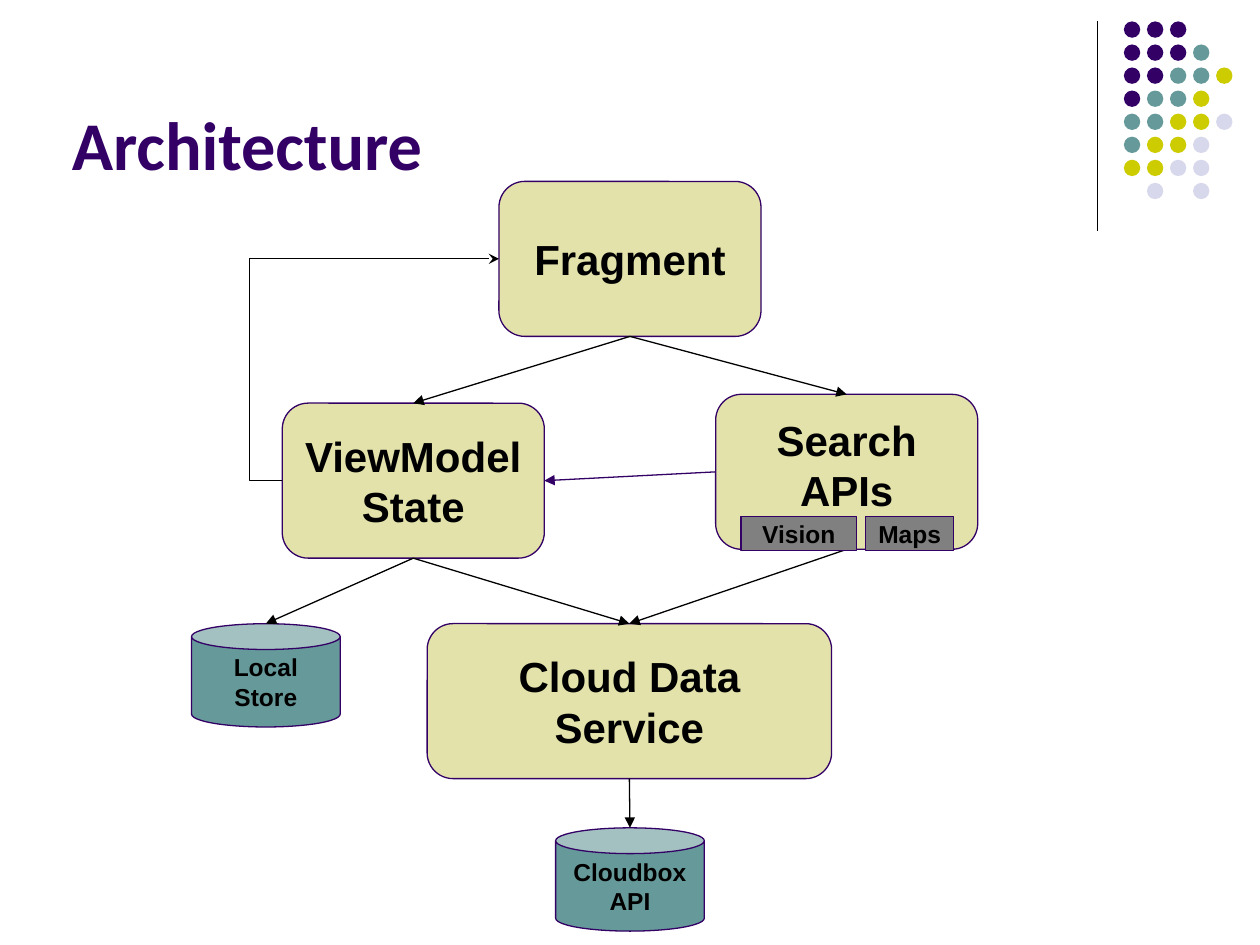
from lxml import etree
from pptx import Presentation
from pptx.dml.color import RGBColor
from pptx.enum import shapes, text
from pptx.oxml import ns
from pptx.util import Inches, Pt

PURPLE = RGBColor(0x33, 0x00, 0x66)
TEAL = RGBColor(0x66, 0x99, 0x99)
OLIVE = RGBColor(0xCC, 0xCC, 0x00)
LAVENDER = RGBColor(0xD8, 0xD8, 0xEC)
SAND = RGBColor(0xE2, 0xE2, 0xAA)
GRAY = RGBColor(0x80, 0x80, 0x80)
BLACK = RGBColor(0x00, 0x00, 0x00)

SHAPE = shapes.MSO_SHAPE
STRAIGHT = shapes.MSO_CONNECTOR.STRAIGHT
ELBOW = shapes.MSO_CONNECTOR.ELBOW
TOP, LEFT, BOTTOM, RIGHT = range(4)

DOT_ROWS = ["PPP", "PPPT", "PPTTO", "PTTO", "TTOOL", "TOOL", "OOLL", " L L"]
DOT_COLORS = {"P": PURPLE, "T": TEAL, "O": OLIVE, "L": LAVENDER}


def add_filled(slide, kind, box, fill):
    shape = slide.shapes.add_shape(kind, *map(Inches, box))
    shape.shadow.inherit = False
    shape.fill.solid()
    shape.fill.fore_color.rgb = fill
    return shape


def add_block(slide, kind, box, fill, label, size, anchor=text.MSO_ANCHOR.MIDDLE, wrap=True):
    shape = add_filled(slide, kind, box, fill)
    shape.line.color.rgb = PURPLE
    shape.line.width = Pt(0.75)
    frame = shape.text_frame
    frame.word_wrap = wrap
    frame.vertical_anchor = anchor
    frame.margin_left = frame.margin_right = Inches(0.1)
    frame.margin_top = frame.margin_bottom = Inches(0.1)
    frame.text = label
    for paragraph in frame.paragraphs:
        paragraph.alignment = text.PP_ALIGN.CENTER
        font = paragraph.runs[0].font
        font.name = "Arial"
        font.size = Pt(size)
        font.bold = True
        font.color.rgb = BLACK
    return shape


def add_component(slide, box, label, anchor=text.MSO_ANCHOR.MIDDLE):
    return add_block(slide, SHAPE.ROUNDED_RECTANGLE, box, SAND, label, 24, anchor)


def add_store(slide, left, top, label):
    return add_block(slide, SHAPE.CAN, (left, top, 1.18, 0.82), TEAL, label, 14)


def add_chip(slide, box, label):
    return add_block(slide, SHAPE.RECTANGLE, box, GRAY, label, 14, wrap=False)


def side_point(shape, side):
    x = {LEFT: 0, RIGHT: shape.width}.get(side, shape.width // 2)
    y = {TOP: 0, BOTTOM: shape.height}.get(side, shape.height // 2)
    return shape.left + x, shape.top + y


def add_line(slide, start, end, kind=STRAIGHT, color=BLACK, head=None):
    connector = slide.shapes.add_connector(kind, *start, *end)
    connector.line.color.rgb = color
    connector.line.width = Pt(0.75)
    if head:
        line = connector.line._get_or_add_ln()
        etree.SubElement(line, ns.qn("a:tailEnd"), type=head)
    etree.SubElement(connector._element.spPr, ns.qn("a:effectLst"))
    return connector


def add_arrow(slide, source, source_side, target, target_side, color=BLACK):
    arrow = add_line(slide, side_point(source, source_side),
                     side_point(target, target_side), color=color, head="triangle")
    arrow.begin_connect(source, source_side)
    if target.auto_shape_type != SHAPE.CAN:
        arrow.end_connect(target, target_side)


def add_return_arrow(slide, source, target):
    arrow = add_line(slide, side_point(source, LEFT), side_point(target, LEFT),
                     kind=ELBOW, head="stealth")
    geometry = arrow._element.spPr.find(ns.qn("a:prstGeom"))
    guides = geometry.find(ns.qn("a:avLst"))
    if guides is None:
        guides = etree.SubElement(geometry, ns.qn("a:avLst"))
    etree.SubElement(guides, ns.qn("a:gd"), name="adj1", fmla="val -15100")


def add_title(slide, box, label):
    title = slide.shapes.title
    title.left, title.top, title.width, title.height = map(Inches, box)
    frame = title.text_frame
    frame.text = label
    frame.word_wrap = True
    frame.auto_size = text.MSO_AUTO_SIZE.NONE
    frame.vertical_anchor = text.MSO_ANCHOR.BOTTOM
    paragraph = frame.paragraphs[0]
    paragraph.alignment = text.PP_ALIGN.LEFT
    font = paragraph.runs[0].font
    font.name = "Calibri"
    font.size = Pt(39)
    font.bold = True
    font.color.rgb = PURPLE


def add_dot_ornament(slide, left, top, height):
    add_line(slide, (Inches(left), Inches(top)), (Inches(left), Inches(top + height)))
    pitch, diameter = 0.183, 0.13
    for row, codes in enumerate(DOT_ROWS):
        for column, code in enumerate(codes):
            if code in DOT_COLORS:
                box = (left + 0.21 + column * pitch, top + row * pitch, diameter, diameter)
                dot = add_filled(slide, SHAPE.OVAL, box, DOT_COLORS[code])
                dot.line.fill.background()


def add_architecture(slide, left, top):
    width, height = 2.08, 1.23
    fragment = add_component(slide, (left + 2.44, top, width, height), "Fragment")
    view_model = add_component(slide, (left + 0.72, top + 1.76, width, height),
                               "ViewModel\nState")
    cloud = add_component(slide, (left + 1.87, top + 3.51, 3.21, height),
                          "Cloud Data Service")
    services = add_component(slide, (left + 4.16, top + 1.69, width, height),
                             "Search APIs", text.MSO_ANCHOR.TOP)
    remote_store = add_store(slide, left + 2.89, top + 5.13, "Cloudbox\nAPI")
    local_store = add_store(slide, left, top + 3.51, "Local Store")

    add_arrow(slide, fragment, BOTTOM, view_model, TOP)
    add_arrow(slide, fragment, BOTTOM, services, TOP)
    add_arrow(slide, view_model, BOTTOM, cloud, TOP)
    add_arrow(slide, services, BOTTOM, cloud, TOP)
    add_arrow(slide, view_model, BOTTOM, local_store, TOP)
    add_arrow(slide, cloud, BOTTOM, remote_store, TOP)
    add_arrow(slide, services, LEFT, view_model, RIGHT, PURPLE)
    add_return_arrow(slide, view_model, fragment)

    add_chip(slide, (left + 4.36, top + 2.66, 0.92, 0.27), "Vision")
    add_chip(slide, (left + 5.35, top + 2.66, 0.7, 0.27), "Maps")


def main():
    presentation = Presentation()
    presentation.slide_width = Inches(10)
    presentation.slide_height = Inches(7.5)
    slide = presentation.slides.add_slide(presentation.slide_layouts[5])
    add_dot_ornament(slide, 8.71, 0.17, 1.66)
    add_title(slide, (0.47, 0.09, 8.25, 1.42), "Architecture")
    add_architecture(slide, 1.52, 1.44)
    presentation.save("out.pptx")


if __name__ == "__main__":
    main()
